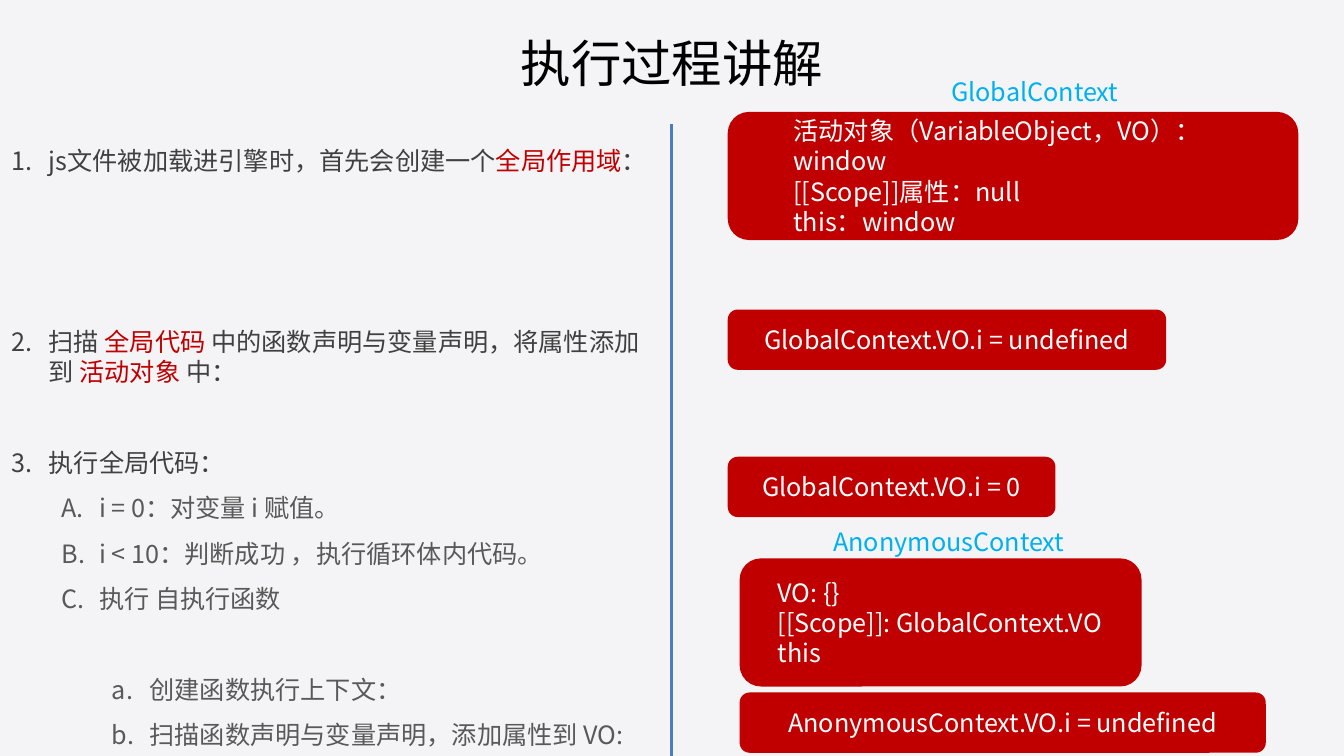
from dataclasses import dataclass

from lxml import etree
from pptx import Presentation
from pptx.dml.color import RGBColor
from pptx.enum.shapes import MSO_CONNECTOR, MSO_SHAPE
from pptx.enum.text import MSO_ANCHOR, PP_ALIGN
from pptx.oxml.ns import qn
from pptx.util import Cm, Pt

LEFT, CENTER = PP_ALIGN.LEFT, PP_ALIGN.CENTER
MIDDLE = MSO_ANCHOR.MIDDLE
ROUNDED = MSO_SHAPE.ROUNDED_RECTANGLE
STRAIGHT = MSO_CONNECTOR.STRAIGHT


@dataclass(frozen=True)
class Theme:
    font: str = "Noto Sans CJK SC"
    title_size: int = 36
    text_size: int = 18
    background: str = "F4F4F6"
    black: str = "000000"
    dark: str = "404040"
    grey: str = "595959"
    red: str = "C00000"
    white: str = "FFFFFF"
    label: str = "00B0F0"
    divider: str = "4B7EBC"


theme = Theme()


def add_span(para, text, color, size=theme.text_size):
    span = para.add_run()
    span.text = text
    span.font.size = Pt(size)
    span.font.name = theme.font
    span.font.color.rgb = RGBColor.from_string(color)
    east_asian = etree.SubElement(span.font._element, qn("a:ea"))
    east_asian.set("typeface", theme.font)


def next_para(frame, index):
    return frame.add_paragraph() if index else frame.paragraphs[0]


# Deck and page
deck = Presentation()
deck.slide_width, deck.slide_height = Cm(33.87), Cm(19.05)
page = deck.slides.add_slide(deck.slide_layouts[5])
page.background.fill.solid()
page.background.fill.fore_color.rgb = RGBColor.from_string(theme.background)

# Title
title = page.shapes.title
title.left, title.top, title.width, title.height = Cm(0), Cm(0), Cm(33.87), Cm(3.12)
title.text_frame.vertical_anchor = MIDDLE
heading = title.text_frame.paragraphs[0]
heading.alignment = CENTER
add_span(heading, "执行过程讲解", theme.black, theme.title_size)

# Numbered steps: level, space before in points, spans
steps = [
    (0, 0, [("js文件被加载进引擎时，首先会创建一个", theme.dark),
            ("全局作用域", theme.red), ("：", theme.dark)]),
    (0, 108, [("扫描 ", theme.dark), ("全局代码 ", theme.red),
              ("中的函数声明与变量声明，将属性添加到 ", theme.dark),
              ("活动对象 ", theme.red), ("中：", theme.dark)]),
    (0, 43, [("执行全局代码：", theme.dark)]),
    (1, 0, [("i = 0：对变量 i 赋值。", theme.grey)]),
    (1, 0, [("i < 10：判断成功 ，执行循环体内代码。", theme.grey)]),
    (1, 0, [("执行 自执行函数", theme.grey)]),
    (2, 32.5, [("创建函数执行上下文：", theme.grey)]),
    (2, 0, [("扫描函数声明与变量声明，添加属性到 VO:", theme.grey)]),
]
numbering = ["arabicPeriod", "alphaUcPeriod", "alphaLcPeriod"]
steps_frame = page.shapes.add_textbox(Cm(0.03), Cm(3.53), Cm(16.94), Cm(15.65)).text_frame
steps_frame.word_wrap = True
for index, (level, gap, spans) in enumerate(steps):
    para = next_para(steps_frame, index)
    para.level = level
    para.space_before = Pt(gap)
    para.line_spacing = 1.5 if level else 1.0
    properties = para._p.get_or_add_pPr()
    properties.set("marL", str(Cm(0.95 + 1.27 * level)))
    properties.set("indent", str(Cm(-0.95)))
    etree.SubElement(properties, qn("a:buFont")).set("typeface", "+mj-lt")
    etree.SubElement(properties, qn("a:buAutoNum")).set("type", numbering[level])
    for text, color in spans:
        add_span(para, text, color)

# Divider
divider = page.shapes.add_connector(STRAIGHT, Cm(16.93), Cm(3.12), Cm(16.93), Cm(19.05))
divider.line.color.rgb = RGBColor.from_string(theme.divider)
divider.line.width = Pt(2)
etree.SubElement(divider._element.spPr, qn("a:effectLst"))

# Context boxes: left, top, width, height, side inset, alignment, lines
boxes = [
    (18.34, 2.82, 14.38, 3.23, 1.5, LEFT,
     ["活动对象（VariableObject，VO）：window", "[[Scope]]属性：null", "this：window"]),
    (18.34, 7.8, 11.05, 1.52, 0.5, CENTER, ["GlobalContext.VO.i = undefined"]),
    (18.34, 11.51, 8.26, 1.52, 0.5, CENTER, ["GlobalContext.VO.i = 0"]),
    (18.64, 14.07, 10.13, 3.23, 0.8, LEFT,
     ["VO: {}", "[[Scope]]: GlobalContext.VO", "this"]),
    (18.64, 17.45, 13.26, 1.52, 0.5, CENTER, ["AnonymousContext.VO.i = undefined"]),
]
for left, top, width, height, inset, alignment, lines in boxes:
    box = page.shapes.add_shape(ROUNDED, Cm(left), Cm(top), Cm(width), Cm(height))
    box.shadow.inherit = False
    box.fill.solid()
    box.fill.fore_color.rgb = RGBColor.from_string(theme.red)
    box.line.fill.background()
    frame = box.text_frame
    frame.word_wrap = True
    frame.vertical_anchor = MIDDLE
    frame.margin_left = frame.margin_right = Cm(inset)
    frame.margin_top = frame.margin_bottom = Cm(0)
    for index, line in enumerate(lines):
        para = next_para(frame, index)
        para.alignment = alignment
        add_span(para, line, theme.white)

# Context labels
for left, top, width, name in [(23.72, 1.8, 5, "GlobalContext"),
                               (20.75, 13.13, 6.88, "AnonymousContext")]:
    label = page.shapes.add_textbox(Cm(left), Cm(top), Cm(width), Cm(1.02))
    label.text_frame.word_wrap = True
    add_span(label.text_frame.paragraphs[0], name, theme.label)

deck.save("out.pptx")
